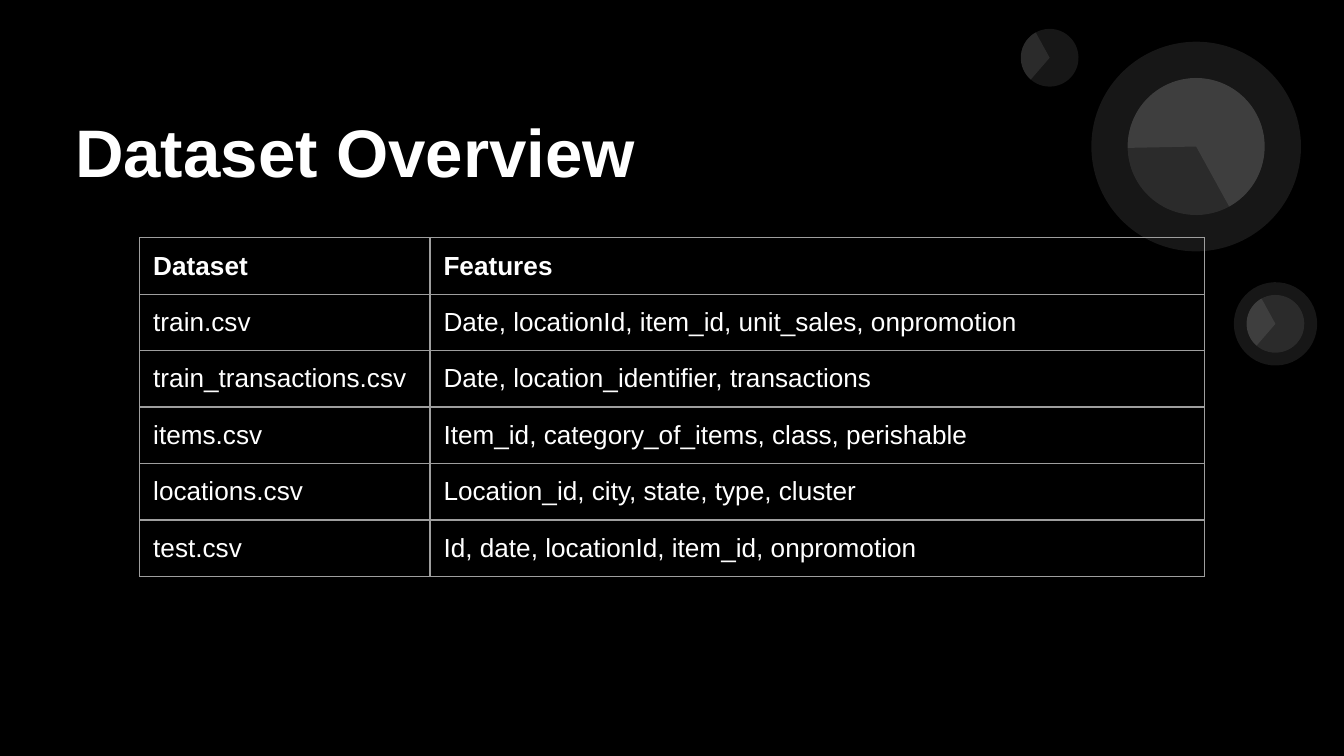
from dataclasses import dataclass

from pptx import Presentation
from pptx.dml.color import RGBColor
from pptx.enum.shapes import MSO_SHAPE
from pptx.enum.text import MSO_ANCHOR
from pptx.oxml.ns import qn
from pptx.util import Inches, Pt
from lxml.etree import SubElement


@dataclass(frozen=True)
class Theme:
    background: str = "000000"
    text: str = "FFFFFF"
    bubble: str = "FFFFFF"
    border: str = "9E9E9E"
    bubble_opacity: int = 9
    font: str = "Arial"
    title_size: int = 36
    table_size: int = 14
    border_width: float = 0.75
    padding: float = 0.1
    cell_bottom_padding: float = 0.08


THEME = Theme()

DATASETS = [
    ("Dataset", "Features"),
    ("train.csv", "Date, locationId, item_id, unit_sales, onpromotion"),
    ("train_transactions.csv", "Date, location_identifier, transactions"),
    ("items.csv", "Item_id, category_of_items, class, perishable"),
    ("locations.csv", "Location_id, city, state, type, cluster"),
    ("test.csv", "Id, date, locationId, item_id, onpromotion"),
]
COLUMN_WIDTHS = (2.16, 5.76)
ROW_HEIGHT = 0.42


def style_text(paragraph, size, bold):
    font = paragraph.font
    font.name = THEME.font
    font.size = Pt(size)
    font.bold = bold
    font.color.rgb = RGBColor.from_string(THEME.text)


def pad(holder, bottom=THEME.padding):
    """Set the margins of a cell or text frame."""
    holder.margin_left = holder.margin_right = Inches(THEME.padding)
    holder.margin_top = Inches(THEME.padding)
    holder.margin_bottom = Inches(bottom)


def add_disc(slide, center, diameter, rotation, wedge=None):
    """Add a translucent circle, or a pie when wedge holds its two angles."""
    left, top = (Inches(c - diameter / 2) for c in center)
    kind = MSO_SHAPE.PIE if wedge else MSO_SHAPE.OVAL
    disc = slide.shapes.add_shape(
        kind, left, top, Inches(diameter), Inches(diameter))
    for index, degrees in enumerate(wedge or ()):
        # Angles are stored in 1/60000 degree, adjustments in 1/100000.
        disc.adjustments[index] = degrees * 0.6
    disc.rotation = rotation
    disc.shadow.inherit = False
    disc.line.fill.background()
    disc.fill.solid()
    disc.fill.fore_color.rgb = RGBColor.from_string(THEME.bubble)
    color = disc._element.spPr.find(qn("a:solidFill")).find(qn("a:srgbClr"))
    SubElement(color, qn("a:alpha"), val=str(THEME.bubble_opacity * 1000))


def add_bubble(slide, center, diameter, rotation, wedge, halo=None):
    """Add a circle with a lighter wedge and, if given, a wider halo."""
    add_disc(slide, center, diameter, rotation)
    add_disc(slide, center, diameter, rotation, wedge)
    if halo:
        add_disc(slide, center, halo, rotation)


def add_title(slide, title):
    box = slide.shapes.add_textbox(
        Inches(0.46), Inches(0.61), Inches(6.41), Inches(1.02))
    frame = box.text_frame
    frame.word_wrap = True
    frame.vertical_anchor = MSO_ANCHOR.MIDDLE
    pad(frame)
    frame.text = title
    style_text(frame.paragraphs[0], THEME.title_size, True)


def add_borders(cell):
    properties = cell._tc.get_or_add_tcPr()
    for side in ("a:lnL", "a:lnR", "a:lnT", "a:lnB"):
        line = SubElement(properties, qn(side),
                          w=str(int(Pt(THEME.border_width))))
        fill = SubElement(line, qn("a:solidFill"))
        SubElement(fill, qn("a:srgbClr"), val=THEME.border)


def add_dataset_table(slide):
    table = slide.shapes.add_table(
        len(DATASETS), len(COLUMN_WIDTHS), Inches(1.04), Inches(1.77),
        Inches(sum(COLUMN_WIDTHS)), Inches(ROW_HEIGHT * len(DATASETS))).table
    table.first_row = table.horz_banding = False
    for column, width in zip(table.columns, COLUMN_WIDTHS):
        column.width = Inches(width)
    for row_index, entries in enumerate(DATASETS):
        table.rows[row_index].height = Inches(ROW_HEIGHT)
        for column_index, entry in enumerate(entries):
            cell = table.cell(row_index, column_index)
            cell.text = entry
            pad(cell, THEME.cell_bottom_padding)
            add_borders(cell)
            cell.fill.background()
            style_text(cell.text_frame.paragraphs[0], THEME.table_size,
                       row_index == 0)


def main():
    deck = Presentation()
    deck.slide_width = Inches(10)
    deck.slide_height = deck.slide_width * 9 // 16
    slide = deck.slides.add_slide(deck.slide_layouts[6])
    slide.background.fill.solid()
    slide.background.fill.fore_color.rgb = RGBColor.from_string(
        THEME.background)

    small_wedge = (95, 205.23)
    add_bubble(slide, (8.9, 1.09), 1.02, 215.9, (322.95, 205.23), halo=1.56)
    add_bubble(slide, (9.49, 2.41), 0.43, 35.8, small_wedge, halo=0.62)
    add_bubble(slide, (7.81, 0.43), 0.43, 35.8, small_wedge)
    add_title(slide, "Dataset Overview")
    add_dataset_table(slide)
    deck.save("out.pptx")


if __name__ == "__main__":
    main()
